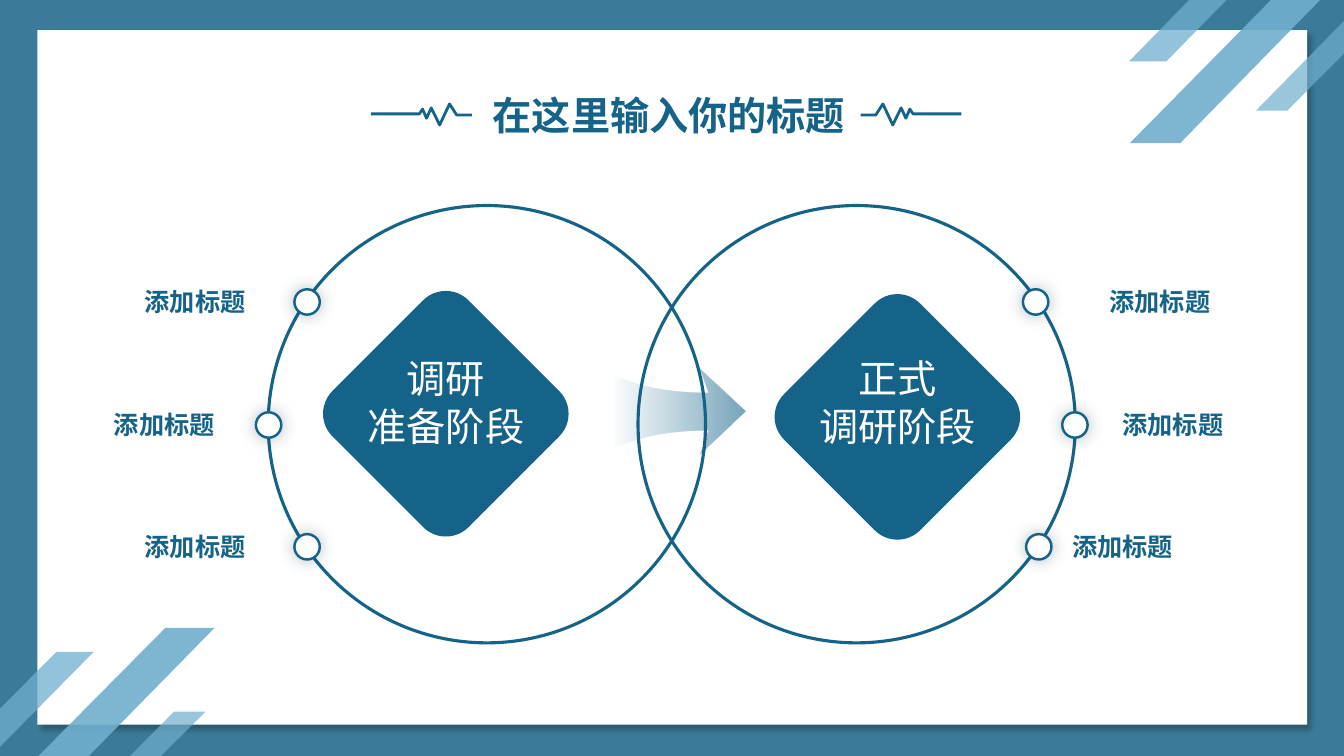
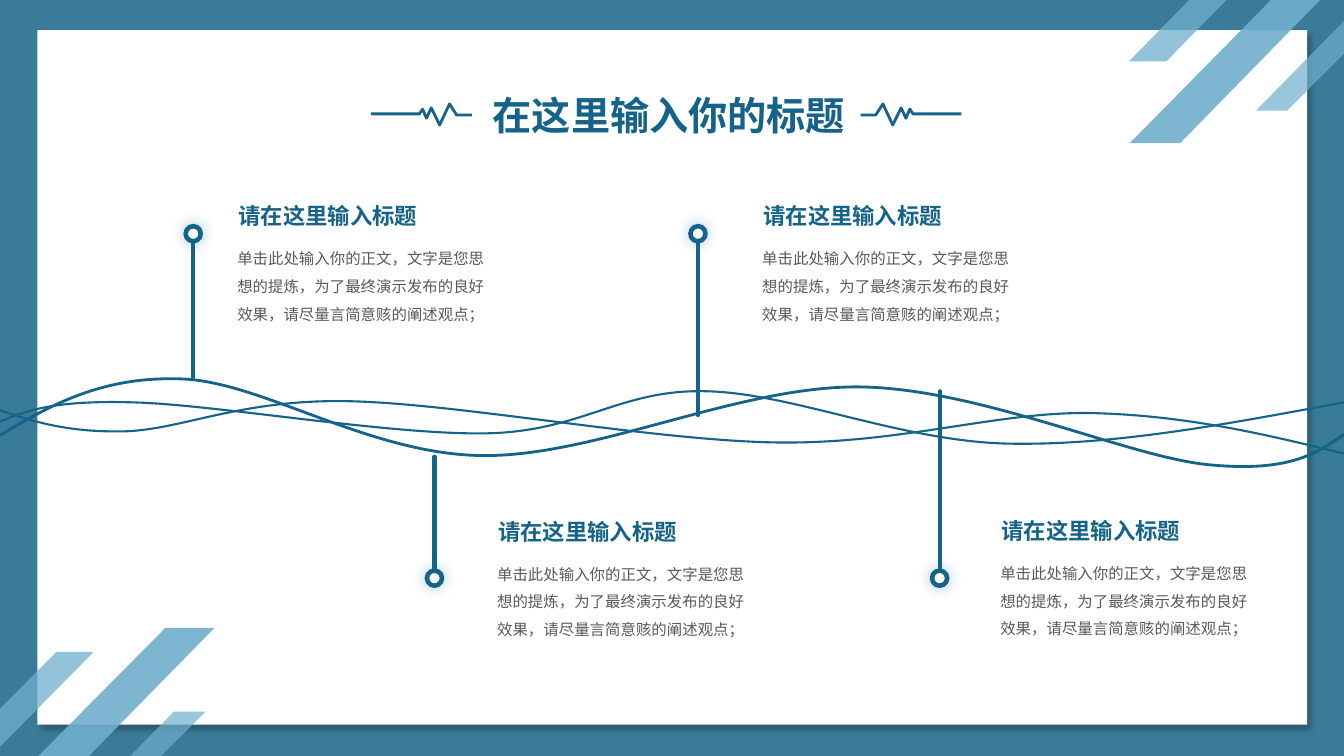
from dataclasses import dataclass

from lxml import etree
from pptx import Presentation
from pptx import util as u
from pptx.dml.color import RGBColor
from pptx.enum import shapes, text
from pptx.oxml.ns import qn


@dataclass(frozen=True)
class Theme:
    frame: str = "3A7B99"
    card: str = "FFFFFF"
    stripe: str = "70AFCE"
    accent: str = "156389"
    body: str = "595959"
    card_shadow: tuple = ("0D0D0D", 30, 4, 5, 45)
    dot_glow: tuple = ("0B3144", 30, 12, 0, 0)
    ring_glow: tuple = ("1A79A8", 40, 10, 0, 0)
    cjk_font: str = "Noto Sans CJK SC"
    latin_font: str = "Arial"
    title_size: int = 28
    label_size: int = 18
    head_size: int = 16
    body_size: int = 11


@dataclass(frozen=True)
class Box:
    left: float
    top: float
    width: float
    height: float

    def inner(self, left, top, width, height):
        return Box(self.left + left, self.top + top, width, height)

    def lengths(self):
        return [u.Cm(n) for n in (self.left, self.top, self.width, self.height)]


THEME = Theme()
PAGE = Box(0, 0, 33.87, 19.05)
ALIGN = text.PP_ALIGN
KIND = shapes.MSO_SHAPE

STRIPES = [
    (90, [(32.03, 0), (33.27, 0), (29.74, 3.61), (28.47, 3.61)]),
    (75, [(29.97, 0), (30.91, 0), (29.39, 1.55), (28.45, 1.55)]),
    (70, [(33.87, 0.53), (33.87, 1.35), (32.44, 2.79), (31.65, 2.79)]),
    (90, [(4.17, 15.82), (5.41, 15.82), (2.24, 19.05), (0.97, 19.05)]),
    (75, [(1.42, 16.43), (2.36, 16.43), (0, 18.82), (0, 17.86)]),
    (70, [(4.39, 17.93), (5.18, 17.93), (4.06, 19.05), (3.28, 19.05)]),
]
PULSE = [(0, 0.25), (1.22, 0.25), (1.3, 0.13), (1.4, 0.36), (1.52, 0.1),
         (1.73, 0.53), (1.98, 0), (2.16, 0.28), (2.54, 0.28)]
ARROW = [(0, 0), (0.79, 0.58), (1.9, 0.71), (2.79, 0.71), (2.57, 0.1),
         (3.73, 1.17), (2.57, 2.26), (2.79, 1.65), (1.9, 1.65),
         (0.79, 1.78), (0, 2.36)]
WAVES = [
    (2, [(0, 1.47), (1.27, 0.71), (2.57, -0.03), (4.6, 0.05),
         (6.63, 0.13), (9.32, 1.96), (12.17, 1.98),
         (15.01, 2.01), (18.59, 0.23), (21.64, 0.25),
         (24.69, 0.28), (28.4, 2.01), (30.45, 2.21),
         (32.49, 2.41), (33.17, 1.93), (33.87, 1.45)]),
    (1.5, [(0, 0.84), (0.84, 1.12), (1.68, 1.4), (3.15, 1.37),
           (4.62, 1.32), (6.05, 0.56), (8.76, 0.61),
           (11.51, 0.66), (16.43, 1.6), (19.56, 1.65),
           (22.71, 1.7), (25.15, 0.86), (27.53, 0.91),
           (29.92, 0.97), (31.9, 1.45), (33.87, 1.93)]),
    (1.5, [(0, 1.12), (0.66, 0.86), (1.32, 0.58), (3.35, 0.64),
           (5.41, 0.69), (9.86, 1.47), (12.27, 1.42),
           (14.68, 1.37), (15.62, 0.3), (17.81, 0.36),
           (19.99, 0.41), (22.73, 1.63), (25.43, 1.68),
           (28.12, 1.73), (30.99, 1.17), (33.87, 0.64)]),
]


def set_alpha(color, percent):
    etree.SubElement(color, qn("a:alpha"), val=str(percent * 1000))


def add_shadow(shape, glow):
    color, alpha, blur, distance, angle = glow
    effects = next(shape.element.iter(qn("a:effectLst")))
    outer = etree.SubElement(
        effects, qn("a:outerShdw"), blurRad=str(u.Pt(blur)),
        dist=str(u.Pt(distance)), dir=str(angle * 60000), rotWithShape="0")
    set_alpha(etree.SubElement(outer, qn("a:srgbClr"), val=color), alpha)


def paint(shape, fill=None, line=None, glow=None):
    shape.shadow.inherit = False
    if fill:
        shape.fill.solid()
        shape.fill.fore_color.rgb = RGBColor.from_string(fill)
    else:
        shape.fill.background()
    if line:
        shape.line.color.rgb = RGBColor.from_string(THEME.accent)
        shape.line.width = u.Pt(line)
    else:
        shape.line.fill.background()
    if glow:
        add_shadow(shape, glow)
    return shape


def add_preset(page, kind, box, **look):
    return paint(page.shapes.add_shape(kind, *box.lengths()), **look)


def add_outline(page, box, points, bends=(), closed=False, **look):
    corners = [(u.Cm(box.left + x), u.Cm(box.top + y)) for x, y in points]
    builder = page.shapes.build_freeform(*corners[0], scale=1.0)
    builder.add_line_segments(corners[1:], close=closed)
    shape = paint(builder.convert_to_shape(), **look)
    steps = list(shape.element.iter(qn("a:lnTo")))
    for first in bends:
        curve = etree.Element(qn("a:cubicBezTo"))
        steps[first].addprevious(curve)
        for step in steps[first:first + 3]:
            curve.append(step[0])
            step.getparent().remove(step)
    return shape


def add_text(page, box, lines, size, color=THEME.accent, bold=False,
             align=ALIGN.LEFT, wrap=False, font=THEME.cjk_font,
             spacing=None, insets=(0.25, 0.13)):
    holder = page.shapes.add_textbox(*box.lengths())
    frame = holder.text_frame
    frame.word_wrap = wrap
    frame.auto_size = text.MSO_AUTO_SIZE.SHAPE_TO_FIT_TEXT
    frame.margin_left = frame.margin_right = u.Cm(insets[0])
    frame.margin_top = frame.margin_bottom = u.Cm(insets[1])
    frame.text = "\n".join(lines)
    for para in frame.paragraphs:
        para.alignment = align
        para.line_spacing = spacing
        para.font.size = u.Pt(size)
        para.font.bold = bold
        para.font.name = font
        para.font.color.rgb = RGBColor.from_string(color)
    for props in holder.element.iter(qn("a:defRPr")):
        etree.SubElement(props, qn("a:ea"), typeface=THEME.cjk_font)


def draw_backdrop(page, box):
    add_preset(page, KIND.RECTANGLE, box, fill=THEME.frame)
    add_preset(page, KIND.RECTANGLE, box.inner(0.94, 0.76, 32, 17.5),
               fill=THEME.card, glow=THEME.card_shadow)
    for opacity, points in STRIPES:
        stripe = add_outline(page, box, points, closed=True, fill=THEME.stripe)
        set_alpha(next(stripe.element.iter(qn("a:srgbClr"))), opacity)
    mirrored = [(2.54 - x, y) for x, y in PULSE]
    for left, points in ((9.35, PULSE), (21.69, mirrored)):
        add_outline(page, box.inner(left, 2.62, 2.54, 0.53), points, line=2)


def share_backdrop(page, layout):
    for holder in list(layout.placeholders):
        layout.shapes.element.remove(holder.element)
    draw_backdrop(page, PAGE)
    for shape in list(page.shapes):
        layout.shapes.element.append(shape.element)


def draw_title(page, box):
    add_text(page, box.inner(12.17, 2.16, 9.53, 1.45), ["在这里输入你的标题"],
             THEME.title_size, bold=True, wrap=True)


def draw_stage(page, box, diamond, caption, marks):
    left, top = diamond
    tile = add_preset(page, KIND.ROUNDED_RECTANGLE,
                      box.inner(left, top, 4.85, 4.85), fill=THEME.accent)
    tile.rotation = 45
    add_text(page, box.inner(left + 0.18, 3.63, 4.5, 2.64), caption,
             THEME.title_size, color=THEME.card, align=ALIGN.CENTER)
    add_preset(page, KIND.OVAL, box, line=2.25)
    for (dot_left, label_left), dot_top in zip(marks, (2.11, 5.21, 8.28)):
        add_preset(page, KIND.OVAL, box.inner(dot_left, dot_top, 0.64, 0.64),
                   fill=THEME.card, line=1.75, glow=THEME.dot_glow)
        add_text(page, box.inner(label_left, dot_top - 0.2, 3.15, 1.02),
                 ["添加标题"], THEME.label_size, bold=True, align=ALIGN.JUSTIFY)


def draw_flow_arrow(page, box):
    arrow = add_outline(page, box, ARROW, bends=(0, 7), closed=True)
    arrow.fill.gradient()
    arrow.fill.gradient_angle = 0
    for stop, place in zip(arrow.fill.gradient_stops, (0.1, 1)):
        stop.position = place
        stop.color.rgb = RGBColor.from_string(THEME.accent)
    for color, opacity in zip(arrow.element.iter(qn("a:srgbClr")), (0, 58)):
        set_alpha(color, opacity)


def draw_stages_page(page, box):
    draw_title(page, box)
    draw_stage(page, box.inner(6.76, 5.18, 11.02, 11.02), (2.05, 2.82),
               ["调研", "准备阶段"],
               [(0.66, -3.36), (-0.31, -4.14), (0.66, -3.36)])
    draw_stage(page, box.inner(16.08, 5.18, 11.02, 11.02), (4.11, 2.9),
               ["正式", "调研阶段"],
               [(9.7, 11.63), (10.69, 11.96), (9.78, 10.69)])
    draw_flow_arrow(page, box.inner(15.06, 9.19, 3.73, 2.36))


def draw_waves(page, box):
    for width, points in WAVES:
        add_outline(page, box, points, bends=range(0, len(points) - 1, 3),
                    line=width)


def draw_pin(page, box, middle, stem_end):
    x, y = u.Cm(box.left), u.Cm(box.top + middle)
    stem = page.shapes.add_connector(shapes.MSO_CONNECTOR.STRAIGHT,
                                     x, y, x, u.Cm(box.top + stem_end))
    stem.line.color.rgb = RGBColor.from_string(THEME.accent)
    stem.line.width = u.Pt(3)
    next(stem.element.iter(qn("a:ln"))).set("cap", "rnd")
    etree.SubElement(stem.element.spPr, qn("a:effectLst"))
    add_preset(page, KIND.OVAL, box.inner(-0.19, middle - 0.19, 0.38, 0.38),
               fill=THEME.card, line=3.25, glow=THEME.ring_glow)


def draw_note(page, box):
    add_text(page, box.inner(0, 0.92, box.width, 2.36),
             ["单击此处输入你的正文，文字是您思想的提炼，为了最终演示发布的良好效果，"
              "请尽量言简意赅的阐述观点；"],
             THEME.body_size, color=THEME.body, align=ALIGN.CENTER, wrap=True,
             font=THEME.latin_font, spacing=1.5)
    add_text(page, box.inner(0.12, 0, 4.93, 0.89), ["请在这里输入标题"],
             THEME.head_size, bold=True, font=THEME.latin_font,
             insets=(0.2, 0.1))


def draw_timeline_page(page, box):
    draw_title(page, box)
    draw_waves(page, box.inner(0, 9.5, box.width, 2.21))
    milestones = [
        (4.87, 5.89, 9.53, 5.69, 5),
        (10.95, 14.57, 11.51, 12.24, 12.95),
        (17.59, 5.89, 10.46, 18.92, 5),
        (23.68, 14.57, 9.86, 24.92, 12.93),
    ]
    for pin_left, middle, stem_end, note_left, note_top in milestones:
        draw_pin(page, box.inner(pin_left, 0, 0, box.height), middle, stem_end)
        draw_note(page, box.inner(note_left, note_top, 6.81, 3.28))


def main():
    deck = Presentation()
    deck.slide_width, deck.slide_height = u.Cm(PAGE.width), u.Cm(PAGE.height)
    blank = deck.slide_layouts[6]
    stages, timeline = [deck.slides.add_slide(blank) for _ in range(2)]
    share_backdrop(stages, blank)
    draw_stages_page(stages, PAGE)
    draw_timeline_page(timeline, PAGE)
    deck.save("out.pptx")


if __name__ == "__main__":
    main()
